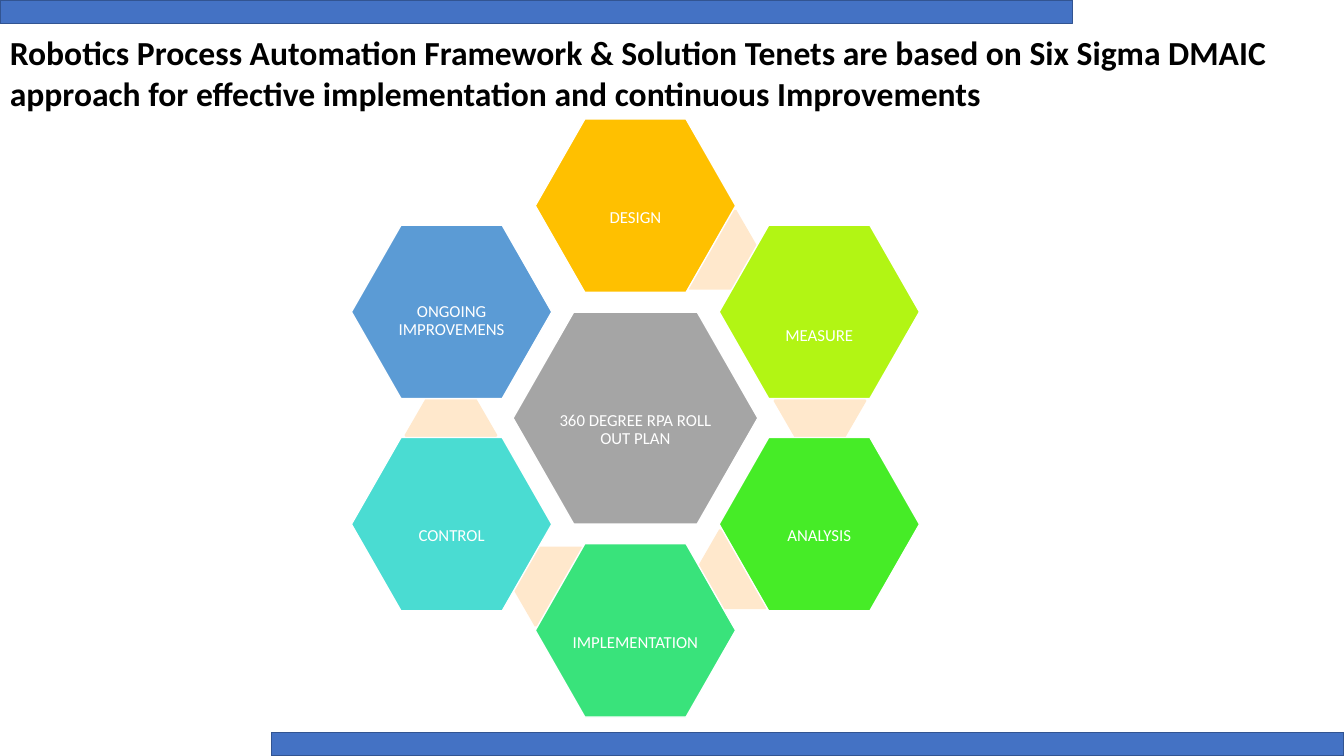
from math import cos, radians, sin

from pptx import Presentation
from pptx.dml.color import RGBColor
from pptx.enum.shapes import MSO_SHAPE
from pptx.enum.text import MSO_ANCHOR, MSO_AUTO_SIZE, PP_ALIGN
from pptx.util import Cm, Pt

BLACK = RGBColor(0x00, 0x00, 0x00)
WHITE = RGBColor(0xFF, 0xFF, 0xFF)
BLUE = RGBColor(0x44, 0x72, 0xC4)
NAVY = RGBColor(0x32, 0x54, 0x91)
GRAY = RGBColor(0xA5, 0xA5, 0xA5)
PEACH = RGBColor(0xFF, 0xE8, 0xCC)
GOLD = RGBColor(0xFF, 0xC0, 0x00)
LIME = RGBColor(0xB2, 0xF5, 0x14)
GREEN = RGBColor(0x46, 0xEC, 0x27)
MINT = RGBColor(0x39, 0xE3, 0x7B)
TEAL = RGBColor(0x4A, 0xDC, 0xD2)
SKY = RGBColor(0x5B, 0x9B, 0xD5)

WIDE, HIGH = 33.87, 19.05
STEPS = [
    ("DESIGN", GOLD, 0.62),
    ("MEASURE", LIME, 1.24),
    ("ANALYSIS", GREEN, 0.62),
    ("IMPLEMENTATION", MINT, 0.62),
    ("CONTROL", TEAL, 0.62),
    ("ONGOING IMPROVEMENS", SKY, 0.46),
]


def write(shape, text, size=12, color=WHITE, bold=False,
          align=PP_ALIGN.CENTER, space=0.9):
    frame = shape.text_frame
    frame.word_wrap = True
    para = frame.paragraphs[0]
    para.alignment = align
    para.line_spacing = space
    run = para.add_run()
    run.text = text
    run.font.name = "Calibri"
    run.font.size = Pt(size)
    run.font.bold = bold
    run.font.color.rgb = color
    return frame


def draw(slide, kind, box, fill, line=None):
    shape = slide.shapes.add_shape(kind, *[Cm(part) for part in box])
    shape.shadow.inherit = False
    shape.fill.solid()
    shape.fill.fore_color.rgb = fill
    if line is None:
        shape.line.fill.background()
    else:
        shape.line.color.rgb = line
        shape.line.width = Pt(1)
    return shape


def add_hex(slide, mid, size, fill, line=None, text="", drop=0):
    (x, y), (w, h) = mid, size
    box = (x - w / 2, y - h / 2, w, h)
    shape = draw(slide, MSO_SHAPE.HEXAGON, box, fill, line)
    shape.adjustments[0] = 0.286 if text else 0.289
    if text:
        frame = write(shape, text)
        frame.vertical_anchor = MSO_ANCHOR.MIDDLE
        frame.margin_left = frame.margin_right = frame.margin_bottom = Cm(0.05)
        frame.margin_top = Cm(0.05 + drop)


def add_bars(slide, box):
    x, y, w, h = box
    long, thick = 27.03, 0.59
    for left, top in ((x, y), (x + w - long, y + h - thick)):
        draw(slide, MSO_SHAPE.RECTANGLE, (left, top, long, thick), BLUE, NAVY)


def add_title(slide, box):
    shape = slide.shapes.add_textbox(*[Cm(part) for part in box])
    frame = write(
        shape,
        "Robotics Process Automation Framework & Solution Tenets are based on "
        "Six Sigma DMAIC approach for effective implementation and continuous "
        "Improvements",
        size=24, color=BLACK, bold=True, align=PP_ALIGN.LEFT, space=1.0)
    frame.auto_size = MSO_AUTO_SIZE.SHAPE_TO_FIT_TEXT


def add_wheel(slide, box):
    x, y, w, h = box
    cell = (5.05, 4.37)
    reach = (h - cell[1]) / 2

    def spot(angle, dist):
        turn = radians(angle)
        return x + w / 2 + dist * sin(turn), y + h / 2 - dist * cos(turn)

    add_hex(slide, spot(0, 0), (6.17, 5.34), GRAY, WHITE,
            "360 DEGREE RPA ROLL OUT PLAN", 0.62)
    for num in range(len(STEPS) - 1):
        add_hex(slide, spot(24.7 + 60 * num, 4.67), (2.34, 2.01), PEACH)
    for num, (text, fill, drop) in enumerate(STEPS):
        add_hex(slide, spot(60 * num, reach), cell, fill, WHITE, text, drop)


def main():
    deck = Presentation()
    deck.slide_width, deck.slide_height = Cm(WIDE), Cm(HIGH)
    slide = deck.slides.add_slide(deck.slide_layouts[6])
    add_bars(slide, (0, 0, WIDE, HIGH))
    add_title(slide, (0, 0.69, WIDE, 2.31))
    add_wheel(slide, (8.84, 3, 14.35, 15.07))
    deck.save("out.pptx")


if __name__ == "__main__":
    main()
